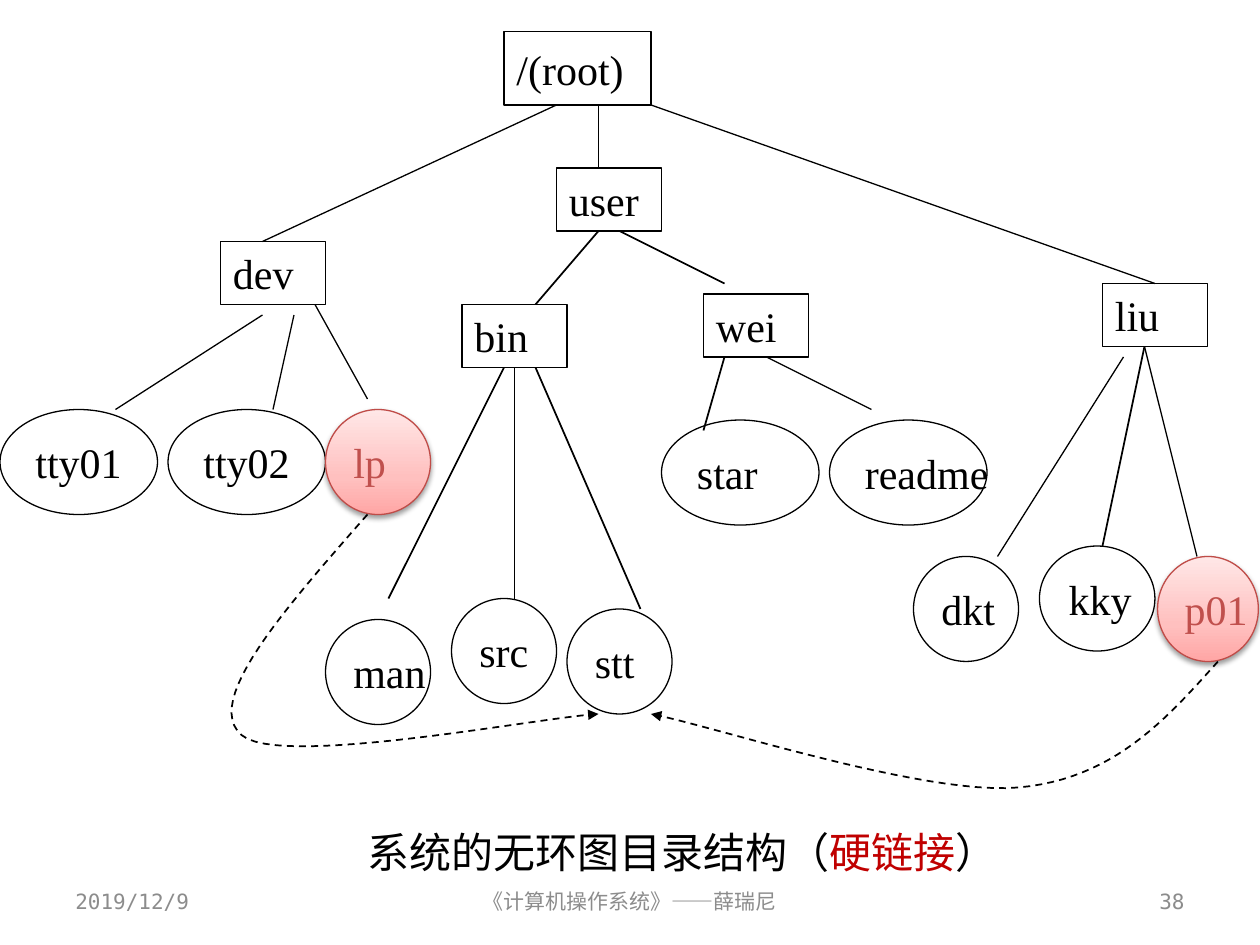
from copy import deepcopy

from lxml import etree
from pptx import Presentation
from pptx.dml.color import RGBColor
from pptx.enum.dml import MSO_LINE
from pptx.enum.shapes import MSO_CONNECTOR, MSO_SHAPE
from pptx.enum.text import MSO_ANCHOR, PP_ALIGN
from pptx.oxml.ns import qn
from pptx.util import Inches, Pt

RECT, OVAL = MSO_SHAPE.RECTANGLE, MSO_SHAPE.OVAL
STRAIGHT, DASH = MSO_CONNECTOR.STRAIGHT, MSO_LINE.DASH
TOP, MIDDLE = MSO_ANCHOR.TOP, MSO_ANCHOR.MIDDLE
LEFT, CENTER, RIGHT = PP_ALIGN.LEFT, PP_ALIGN.CENTER, PP_ALIGN.RIGHT

COLORS = {
    "ink": "000000", "emphasis": "C00000", "footer": "8C8C8C",
    "shared_text": "C0504D", "shared_line": "BF4C48",
    "shared_deep": "FFA6A5", "shared_mid": "FFC0BF", "shared_pale": "FFE7E7",
}
TREE_FONT, CAPTION_FONT, FOOTER_FONT = "Times New Roman", "Arial", "DejaVu Sans Mono"

# The tree lies on a grid of twelfths of an inch.
# Directories: name, left, top, width, height
DIRECTORIES = [
    ("/(root)", 48, 3, 14, 7),
    ("dev", 21, 23, 10, 6),
    ("user", 53, 16, 10, 6),
    ("liu", 105, 27, 10, 6),
    ("bin", 44, 29, 10, 6),
    ("wei", 67, 28, 10, 6),
]
# Files: name, left, top, width (all are equally high)
FILE_HEIGHT = 10
FILES = [
    ("tty01", 0, 39, 15), ("tty02", 16, 39, 15), ("lp", 31, 39, 10),
    ("man", 31, 59, 10), ("src", 43, 57, 10), ("stt", 54, 58, 10),
    ("star", 63, 40, 15), ("readme", 79, 40, 15),
    ("dkt", 87, 53, 10), ("kky", 99, 52, 11), ("p01", 110.25, 53, 9.6),
]
SHARED_FILES = {"lp", "p01"}
# Branches by line width in points: x1, y1, x2, y2
BRANCHES = {
    0.75: [
        (57, 10, 57, 16), (53, 10, 25, 23), (62, 10, 110, 27),
        (25, 30, 11, 39), (28, 30, 26, 39), (30, 29, 35, 38),
        (73, 34, 83, 39), (107, 34, 95, 53), (109, 33, 114, 53),
    ],
    1: [
        (57, 22, 51, 29), (59, 22, 69, 27), (69, 34, 67, 41),
        (48, 35, 37, 57), (49, 35, 49, 57), (51, 35, 61, 58),
        (109, 33, 105, 52),
    ],
}
# Hard links: two joined Bezier curves, sharing the middle point
HARD_LINKS = [
    [(35, 49), (27.1, 58), (19.3, 66.8), (23, 70),
     (26.6, 73.2), (51.5, 68.3), (57, 68)],
    [(116, 63), (111, 68.6), (106, 74.2), (97, 75),
     (88, 75.8), (67.8, 69.1), (62, 68)],
]


def rgb(color):
    return RGBColor.from_string(COLORS[color])


def grid(units):
    return Inches(units / 12)


def add_run(paragraph, text, font, size, color):
    run = paragraph.add_run()
    run.text = text
    run.font.name = font
    run.font.size = Pt(size)
    run.font.color.rgb = rgb(color)


def style_line(line, color, width):
    line.color.rgb = rgb(color)
    line.width = Pt(width)


def style_shared_file(shape):
    """Give a hard-linked file its red gradient and soft shadow."""
    shape.fill.gradient()
    shape.fill.gradient_angle = 90
    stop_list = shape._element.spPr.find(qn("a:gradFill")).find(qn("a:gsLst"))
    stop_list.insert(1, deepcopy(stop_list[0]))
    tones = [(0, "shared_deep"), (0.35, "shared_mid"), (1, "shared_pale")]
    for stop, (position, color) in zip(shape.fill.gradient_stops, tones):
        stop.position = position
        stop.color.rgb = rgb(color)
    effects = shape._element.spPr.find(qn("a:effectLst"))
    shadow = etree.SubElement(effects, qn("a:outerShdw"), blurRad=str(Pt(3.1)),
                              dist=str(Pt(1.6)), dir="5400000", rotWithShape="0")
    shade = etree.SubElement(shadow, qn("a:srgbClr"), val=COLORS["ink"])
    etree.SubElement(shade, qn("a:alpha"), val="38000")


def add_node(slide, kind, name, left, top, width, height):
    node = slide.shapes.add_shape(kind, left, top, width, height)
    node.shadow.inherit = False
    shared = name in SHARED_FILES
    if shared:
        style_shared_file(node)
    else:
        node.fill.background()
    style_line(node.line, "shared_line" if shared else "ink", 0.75)
    frame = node.text_frame
    frame.word_wrap = False
    frame.vertical_anchor = MIDDLE
    frame.paragraphs[0].alignment = LEFT
    add_run(frame.paragraphs[0], name, TREE_FONT, 24,
            "shared_text" if shared else "ink")


def add_branch(slide, x1, y1, x2, y2, width):
    branch = slide.shapes.add_connector(STRAIGHT, x1, y1, x2, y2)
    style_line(branch.line, "ink", width)
    etree.SubElement(branch._element.spPr, qn("a:effectLst"))


def bezier_points(p0, p1, p2, p3, steps=24):
    for step in range(1, steps + 1):
        t = step / steps
        yield tuple((1 - t) ** 3 * a + 3 * (1 - t) ** 2 * t * b
                    + 3 * (1 - t) * t ** 2 * c + t ** 3 * d
                    for a, b, c, d in zip(p0, p1, p2, p3))


def add_hard_link(slide, left, top, controls):
    curve = [controls[0], *bezier_points(*controls[:4]), *bezier_points(*controls[3:])]
    points = [(left + grid(x), top + grid(y)) for x, y in curve]
    builder = slide.shapes.build_freeform(*points[0])
    builder.add_line_segments(points[1:], close=False)
    link = builder.convert_to_shape()
    link.shadow.inherit = False
    link.fill.background()
    style_line(link.line, "ink", 1)
    link.line.dash_style = DASH
    etree.SubElement(link._element.spPr.find(qn("a:ln")), qn("a:tailEnd"),
                     type="triangle")


def draw_directory_tree(slide, left, top):
    for width, branches in BRANCHES.items():
        for x1, y1, x2, y2 in branches:
            add_branch(slide, left + grid(x1), top + grid(y1),
                       left + grid(x2), top + grid(y2), width)
    for name, x, y, width, height in DIRECTORIES:
        add_node(slide, RECT, name, left + grid(x), top + grid(y),
                 grid(width), grid(height))
    for name, x, y, width in FILES:
        add_node(slide, OVAL, name, left + grid(x), top + grid(y),
                 grid(width), grid(FILE_HEIGHT))
    for controls in HARD_LINKS:
        add_hard_link(slide, left, top, controls)


def add_text(slide, left, top, width, height, runs, font, size,
             alignment=LEFT, anchor=TOP):
    frame = slide.shapes.add_textbox(left, top, width, height).text_frame
    frame.word_wrap = True
    frame.vertical_anchor = anchor
    paragraph = frame.paragraphs[0]
    paragraph.alignment = alignment
    for text, color in runs:
        add_run(paragraph, text, font, size, color)


def draw_caption(slide, left, top, width, height):
    runs = [("系统的无环图目录结构（", "ink"), ("硬链接", "emphasis"), ("）", "ink")]
    add_text(slide, left, top, width, height, runs, CAPTION_FONT, 24)


def draw_footer(slide, left, top, width, height):
    side, middle = Inches(2.33), Inches(3.17)
    parts = [
        ("2019/12/9", left, side, LEFT),
        ("《计算机操作系统》——薛瑞尼", left + (width - middle) // 2, middle, CENTER),
        ("38", left + width - side, side, RIGHT),
    ]
    for text, x, part_width, alignment in parts:
        add_text(slide, x, top, part_width, height, [(text, "footer")],
                 FOOTER_FONT, 12, alignment, MIDDLE)


def main():
    prs = Presentation()
    prs.slide_width, prs.slide_height = Inches(10), Inches(7.5)
    slide = prs.slides.add_slide(prs.slide_layouts[6])
    draw_directory_tree(slide, Inches(0), Inches(0))
    draw_caption(slide, Inches(2.82), Inches(6.51), Inches(5.57), Inches(0.5))
    draw_footer(slide, Inches(0.5), Inches(6.95), Inches(9), Inches(0.4))
    prs.save("out.pptx")


if __name__ == "__main__":
    main()
